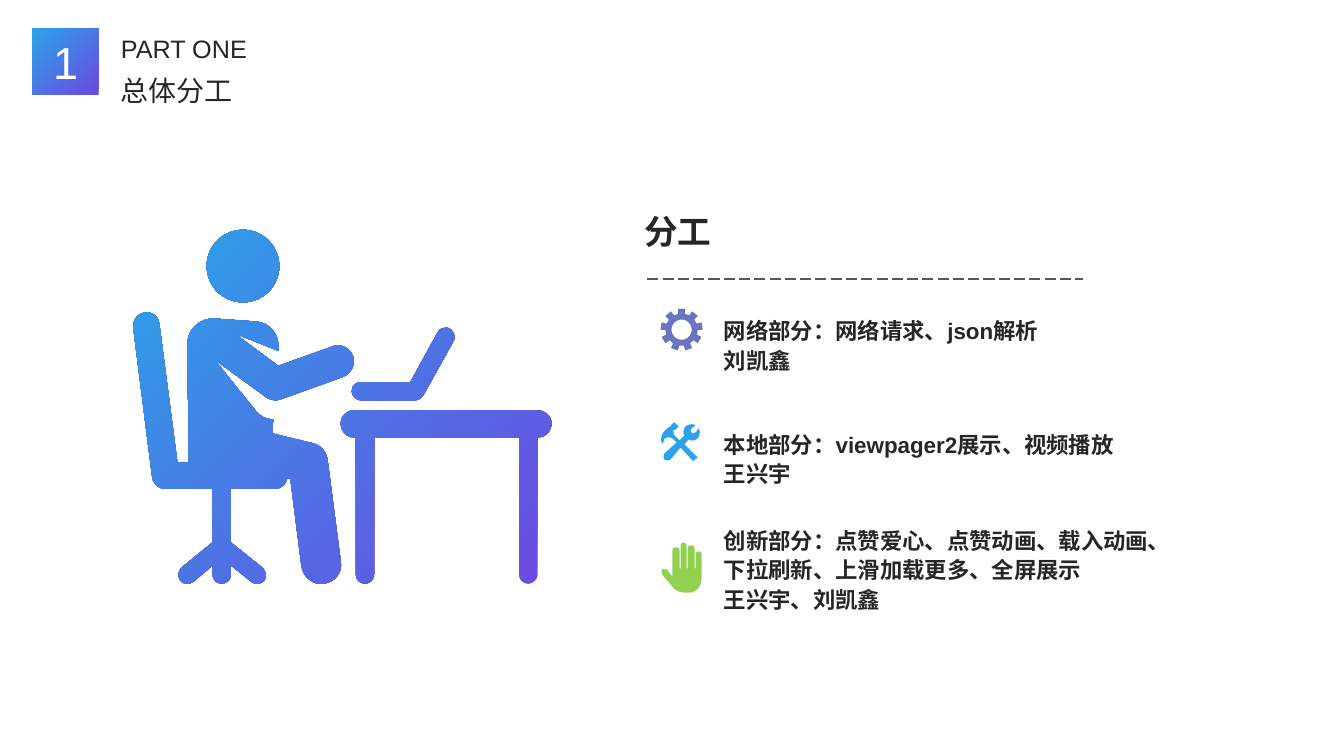
from dataclasses import dataclass
from math import cos, pi, radians, sin

from lxml.etree import SubElement
from pptx import Presentation
from pptx.dml.color import RGBColor
from pptx.enum.dml import MSO_LINE
from pptx.enum.shapes import MSO_CONNECTOR, MSO_SHAPE
from pptx.enum.text import MSO_ANCHOR, PP_ALIGN
from pptx.oxml.ns import qn
from pptx.util import Pt

PX = 9144  # EMU per px, 100 px to the inch


@dataclass(frozen=True)
class Theme:
    font: str = "Arial"
    ink: str = "262626"
    white: str = "FFFFFF"
    rule: str = "53585F"
    violet: str = "6D49E1"
    blue: str = "2AA4E8"
    gear: str = "6B74C0"
    hand: str = "92D050"
    number: int = 32
    heading: int = 24
    title: int = 20
    section: int = 18
    body: int = 16


THEME = Theme()

# Outlines in px from the top left of their own box
DESK = """M 219 179 L 401 179 C 409 179 415 185 415 192 C 415 199 410 206 401 206
L 401 342 C 401 347 396 351 392 351 C 387 351 383 347 383 342 L 383 206 L 239 206
L 239 342 C 239 347 235 351 230 351 C 225 351 221 347 221 342 L 221 206 L 219 206
C 212 206 206 200 206 192 C 206 185 212 179 219 179"""
LAPTOP = """M 307 98 C 309 97 312 97 314 98 C 318 101 320 106 318 110 L 288 164
C 286 167 283 169 280 169 L 226 169 C 221 169 217 165 217 160
C 217 155 221 151 226 151 L 275 151 L 302 102 C 303 100 305 98 307 98"""
BODY_AND_CHAIR = """M 12 82 C 19 81 25 86 26 93 L 44 231 L 55 231 L 54 113
C 54 106 57 99 62 95 C 67 90 74 88 80 88 L 122 91 C 135 92 145 103 144 117
L 144 120 L 101 103 L 144 135 L 197 116 C 205 112 215 117 218 125
C 221 134 216 143 208 146 L 147 168 C 142 170 136 169 132 166 L 81 129 L 122 180
C 126 185 132 188 139 188 L 138 202 L 179 212 C 187 214 192 221 193 229 L 206 329
C 208 340 200 350 189 351 C 179 353 169 345 167 334 L 156 247 L 153 246
C 152 252 147 257 140 257 L 97 257 L 97 310 L 128 335 C 132 339 133 344 130 348
C 126 352 121 352 117 349 L 97 333 L 97 342 C 97 347 93 351 88 351
C 83 351 79 347 79 342 L 79 333 L 60 349 C 56 352 50 352 47 348
C 44 344 45 339 48 335 L 79 310 L 79 257 L 32 257 C 26 257 20 252 19 246
L 0 96 C 0 89 5 83 12 82"""
TOOLS = """M 36 16 C 33 18 30 19 27 17 L 23 22 L 35 34 C 36 34 36 35 36 35 L 32 38
C 32 39 31 39 31 38 L 19 25 L 9 37 C 7 38 5 38 3 37 C 2 35 2 33 3 31 L 15 20 L 11 16
C 10 15 8 15 7 15 C 7 15 2 14 2 21 L 0 20 C 0 18 -1 14 2 10 L 7 5
C 8 5 10 4 10 2 L 13 0 L 17 4 C 17 4 16 6 15 6 C 15 7 14 7 12 8
C 12 10 12 11 13 13 L 18 18 L 23 13 C 21 10 22 7 24 4 C 27 2 31 1 34 3
L 30 6 L 29 9 L 31 11 L 34 10 L 37 6 C 39 9 38 13 36 16"""
HAND = """M 40 23 L 40 12 C 40 8 34 8 34 12 L 34 26 L 33 26 L 33 6 C 33 2 26 2 26 6
L 26 26 L 25 26 L 25 4 C 25 -1 19 -1 19 4 L 19 26 L 18 26 L 18 8 C 18 4 11 4 11 8
L 11 34 C 9 32 8 30 7 29 C 6 28 6 27 5 27 C 4 27 2 26 1 27 C 0 28 0 30 1 32
C 2 34 7 39 10 43 C 13 48 19 50 25 50 C 27 50 30 50 32 49 C 34 48 35 47 37 45
C 38 44 38 43 39 41 C 40 38 40 31 40 23"""


# Geometry
def trace(outline, steps=8):
    """Turn an outline of M, L and C commands into a list of points."""
    points, words = [], iter(outline.split())
    for command in words:
        count = 3 if command == "C" else 1
        pairs = [(int(next(words)), int(next(words))) for _ in range(count)]
        if command != "C":
            points += pairs
            continue
        corners = list(zip(points[-1], *pairs))
        for i in range(1, steps + 1):
            t, u = i / steps, 1 - i / steps
            points.append(tuple(a * u**3 + 3 * b * u * u * t + 3 * c * u * t * t + d * t**3
                                for a, b, c, d in corners))
    return points


def circle(cx, cy, radius, steps=72):
    return [(cx + radius * cos(2 * pi * i / steps), cy - radius * sin(2 * pi * i / steps))
            for i in range(steps)]


def cog(cx, cy, teeth=9):
    """Points of a toothed wheel: each tooth is (degrees from its axis, radius)."""
    tooth = ((-12, 16), (-10, 21), (10, 21), (12, 16))
    turns = [(radians(360 * i / teeth + angle), radius) for i in range(teeth) for angle, radius in tooth]
    return [(cx + radius * sin(turn), cy - radius * cos(turn)) for turn, radius in turns]


# Drawing helpers
def paint(sp, *colors):
    sp.shadow.inherit = False
    sp.line.fill.background()
    if len(colors) == 1:
        sp.fill.solid()
        sp.fill.fore_color.rgb = RGBColor.from_string(colors[0])
        return
    sp.fill.gradient()
    sp.fill.gradient_angle = 135
    for stop, color in zip(sp.fill.gradient_stops, colors):
        stop.color.rgb = RGBColor.from_string(color)


def add_figure(slide, left, top, contours, *colors):
    placed = [[((left + x) * PX, (top + y) * PX) for x, y in points] for points in contours]
    builder = slide.shapes.build_freeform(*placed[0][0], scale=1.0)
    builder.add_line_segments(placed[0][1:])
    for points in placed[1:]:
        builder.move_to(*points[0])
        builder.add_line_segments(points[1:])
    paint(builder.convert_to_shape(), *colors)


def write(tf, lines, size, color=THEME.ink, bold=False, spacing=1.0, align=PP_ALIGN.LEFT):
    tf.word_wrap = True
    for i, line in enumerate(lines):
        p = tf.paragraphs[0] if i == 0 else tf.add_paragraph()
        p.text, p.alignment, p.line_spacing = line, align, spacing
        p.font.name, p.font.size, p.font.bold = THEME.font, Pt(size), bold
        p.font.color.rgb = RGBColor.from_string(color)


def add_text(slide, left, top, width, height, lines, size, **style):
    box = slide.shapes.add_textbox(left * PX, top * PX, width * PX, height * PX)
    write(box.text_frame, lines, size, **style)
    return box.text_frame


# Regions
def add_header(slide, left, top, number, section, title):
    sp = slide.shapes.add_shape(MSO_SHAPE.RECTANGLE, left * PX, top * PX, 66 * PX, 66 * PX)
    paint(sp, THEME.violet, THEME.blue)
    sp.text_frame.vertical_anchor = MSO_ANCHOR.MIDDLE
    write(sp.text_frame, [number], THEME.number, color=THEME.white, align=PP_ALIGN.CENTER)
    add_text(slide, left + 78, top, 172, 40, [section], THEME.section)
    add_text(slide, left + 78, top + 40, 234, 44, [title], THEME.title)


def add_worker(slide, left, top):
    contours = [trace(outline) for outline in (DESK, LAPTOP, BODY_AND_CHAIR)]
    add_figure(slide, left, top, contours + [circle(109, 36, 36)], THEME.violet, THEME.blue)


def add_heading(slide, left, top, width, text):
    add_text(slide, left, top, 300, 51, [text], THEME.heading, bold=True, spacing=1.1)
    start, y = (left + 13) * PX, (top + 77) * PX
    line = slide.shapes.add_connector(MSO_CONNECTOR.STRAIGHT, start, y, start + width * PX, y)
    line.line.color.rgb = RGBColor.from_string(THEME.rule)
    line.line.width = Pt(1)
    line.line.dash_style = MSO_LINE.LONG_DASH
    SubElement(line._element.spPr, qn("a:effectLst"))


def add_task(slide, left, top, lines, icon_drop, contours, color):
    add_figure(slide, left, top + icon_drop, contours, color)
    tf = add_text(slide, left + 50, top, 477, 69, lines, THEME.body, bold=True, spacing=1.1)
    tf.margin_left = tf.margin_right = 12 * PX
    tf.margin_top = tf.margin_bottom = 6 * PX


def main():
    prs = Presentation()
    prs.slide_width, prs.slide_height = 1333 * PX, 750 * PX
    slide = prs.slides.add_slide(prs.slide_layouts[6])

    add_header(slide, 32, 28, "1", "PART ONE", "总体分工")
    add_worker(slide, 132, 228)
    add_heading(slide, 629, 200, 432, "分工")

    gear = [cog(20, 21), circle(20, 21, 10)]
    add_task(slide, 656, 306, ["网络部分：网络请求、json解析", "刘凯鑫"], 0, gear, THEME.gear)
    add_task(slide, 656, 419, ["本地部分：viewpager2展示、视频播放", "王兴宇"], 0, [trace(TOOLS)], THEME.blue)
    innovation = ["创新部分：点赞爱心、点赞动画、载入动画、", "下拉刷新、上滑加载更多、全屏展示", "王兴宇、刘凯鑫"]
    add_task(slide, 656, 514, innovation, 24, [trace(HAND)], THEME.hand)

    prs.save("out.pptx")


if __name__ == "__main__":
    main()
